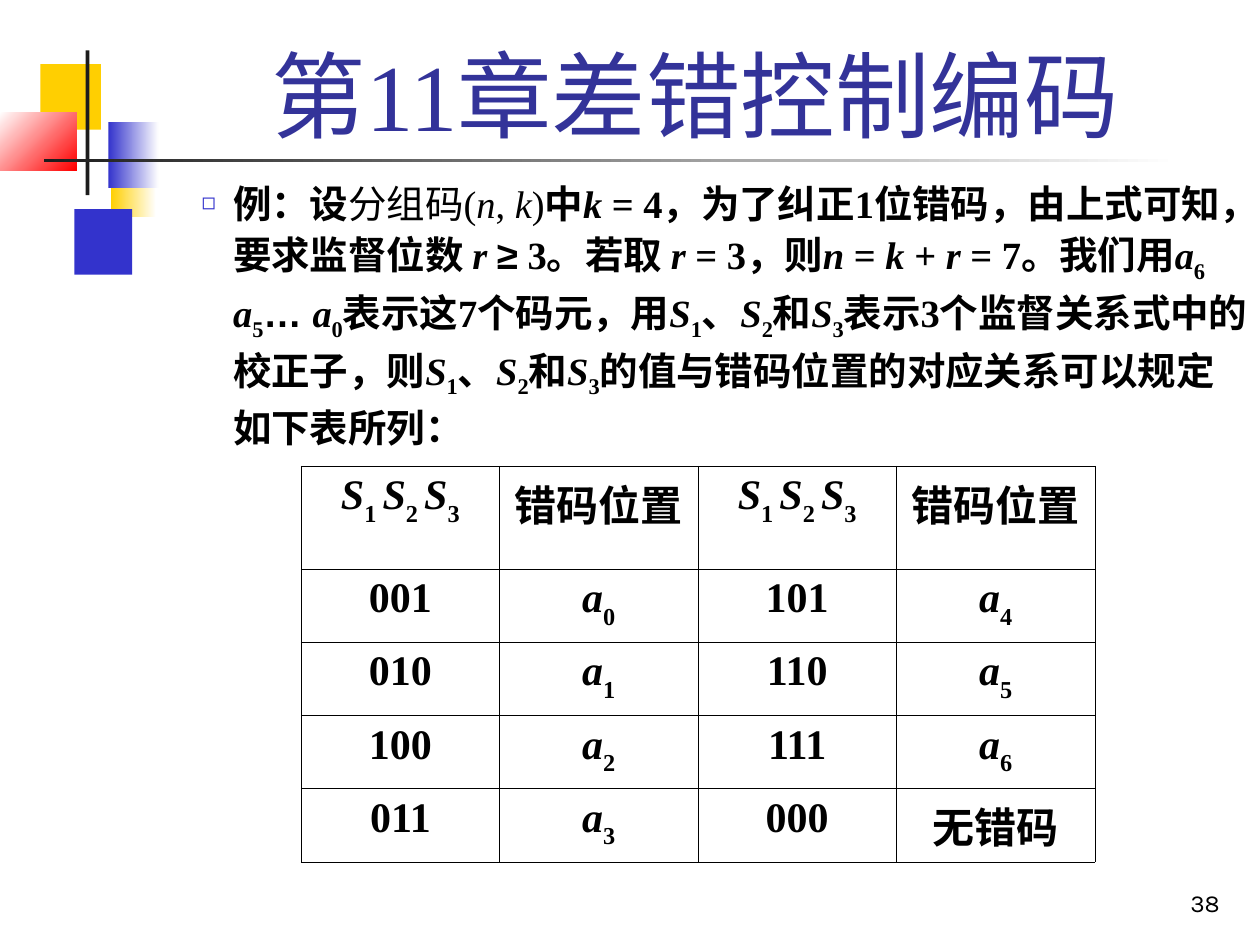
"""Build the slide on syndromes and error positions of a block code."""
from lxml.etree import SubElement
from pptx import Presentation
from pptx.dml.color import RGBColor
from pptx.enum.shapes import MSO_SHAPE
from pptx.enum.text import MSO_ANCHOR, MSO_AUTO_SIZE, PP_ALIGN
from pptx.oxml import parse_xml
from pptx.oxml.ns import nsdecls, qn
from pptx.util import Inches, Pt

BLACK = RGBColor(0x00, 0x00, 0x00)
WHITE = RGBColor(0xFF, 0xFF, 0xFF)
INK = RGBColor(0x1C, 0x1C, 0x1C)
YELLOW = RGBColor(0xFF, 0xCF, 0x01)
BLUE = RGBColor(0x33, 0x33, 0xCC)
NAVY = RGBColor(0x33, 0x33, 0x99)
RED = RGBColor(0xFF, 0x00, 0x00)
SERIF = "Times New Roman"

TITLE = "第11章差错控制编码"
PAGE_NUMBER = "38"

STYLES = {
    "plain": {"bold": False, "italic": False},
    "plain var": {"bold": False, "italic": True},
    "bold": {"bold": True, "italic": False},
    "var": {"bold": True, "italic": True},
    "sub": {"bold": True, "italic": False},
    "symbol": {"bold": True, "italic": False, "name": "Arial"},
}


def syndromes(*separators):
    return [run for number, separator in enumerate(separators, 1)
            for run in (("S", "var"), (str(number), "sub"), (separator, "bold")) if run[0]]


def position(index):
    return [("a", "var"), (str(index), "sub")]


EXAMPLE = [
    ("例：设", "bold"), ("分组码(", "plain"), ("n", "plain var"), (", ", "plain"),
    ("k", "plain var"), (")", "plain"), ("中", "bold"), ("k", "var"),
    (" = 4，为了纠正1位错码，由上式可知，要求监督位数 ", "bold"), ("r ", "var"),
    ("≥", "symbol"), (" 3。若取 ", "bold"), ("r", "var"), (" = 3，则", "bold"),
    ("n", "var"), (" = ", "bold"), ("k", "var"), (" + ", "bold"), ("r", "var"),
    (" = 7。我们用", "bold"), ("a", "var"), ("6 ", "sub"), ("a", "var"), ("5", "sub"),
    ("… ", "symbol"), *position(0), ("表示这7个码元，用", "bold"),
    *syndromes("、", "和", "表示3个监督关系式中的校正子，则"),
    *syndromes("、", "和", "的值与错码位置的对应关系可以规定如下表所列："),
]
SYNDROME_HEAD = [("S", "var"), ("1 ", "sub"), ("S", "var"), ("2 ", "sub"),
                 ("S", "var"), ("3", "sub")]
HEADER = [SYNDROME_HEAD, [("错码位置", "bold")]] * 2
CODES = [("001", "101"), ("010", "110"), ("100", "111"), ("011", "000")]
NO_ERROR = [("无错码", "bold")]
ROWS = [HEADER] + [
    [[(left, "bold")], position(index),
     [(right, "bold")], position(index + 4) if index < 3 else NO_ERROR]
    for index, (left, right) in enumerate(CODES)
]

# Shares of the slide in percent: left, top, width, height
ORNAMENTS = [
    ((8.8, 16, 3.6, 6.93), (YELLOW, WHITE), 0),
    ((5.9, 22.13, 4.6, 6.93), (BLUE,), 0),
    ((3.2, 6.8, 4.8, 6.93), (YELLOW,), 0),
    ((8.6, 12.93, 4, 6.93), (BLUE, WHITE), 0),
    ((0, 11.87, 6.1, 6.13), (WHITE, RED), 315),
    ((6.8, 5.33, 0.3, 15.33), (INK,), 0),
    ((3.5, 16.8, 90, 0.4), (INK, WHITE), 0),
]
NUMBER_AREA = (77, 91.07, 20.8, 6.67)
TITLE_AREA = (12.6, 3.07, 85.2, 13.47)
BODY_AREA = (0, 17.87, 100, 30.8)
TABLE_AREA = (23.9, 49.33, 63, 41.87)
HEADER_SHARE = 0.26

deck = Presentation()
deck.slide_width, deck.slide_height = Inches(10), Inches(7.5)
slide = deck.slides.add_slide(deck.slide_layouts[1])
shapes = slide.shapes


def area(shares):
    sides = (deck.slide_width, deck.slide_height) * 2
    return [round(side * share / 100) for side, share in zip(sides, shares)]


def apply(target, values):
    for attribute, value in values.items():
        setattr(target, attribute, value)


def write(paragraph, runs, size, color=BLACK, name=SERIF, drop=-25):
    for text, style in runs:
        run = paragraph.add_run()
        run.text = text
        apply(run.font, {"size": Pt(size), "name": name, **STYLES[style]})
        run.font.color.rgb = color
        if style == "sub":
            run.font._element.set("baseline", str(drop * 1000))


def place(holder, shares, anchor):
    apply(holder, dict(zip(("left", "top", "width", "height"), area(shares))))
    apply(holder.text_frame, {"word_wrap": True, "auto_size": MSO_AUTO_SIZE.NONE,
                              "vertical_anchor": anchor})
    shapes._spTree.append(holder._element)
    return holder.text_frame.paragraphs[0]


def add_ornament(shares, colors, angle):
    ornament = shapes.add_shape(MSO_SHAPE.RECTANGLE, *area(shares))
    ornament.shadow.inherit = False
    ornament.line.fill.background()
    if len(colors) == 1:
        ornament.fill.solid()
        ornament.fill.fore_color.rgb = colors[0]
        return
    ornament.fill.gradient()
    ornament.fill.gradient_angle = angle
    for stop, color in zip(ornament.fill.gradient_stops, colors):
        stop.color.rgb = color


def add_bullet(paragraph):
    properties = paragraph._p.get_or_add_pPr()
    properties.set("marL", str(Inches(1.75)))
    properties.set("indent", str(-Inches(0.25)))
    SubElement(SubElement(properties, qn("a:buClr")), qn("a:srgbClr")).set("val", str(BLUE))
    SubElement(properties, qn("a:buSzPct")).set("val", "60000")
    SubElement(properties, qn("a:buChar")).set("char", "◻")


def add_borders(cell):
    properties = cell._tc.get_or_add_tcPr()
    for index, side in enumerate("LRTB"):
        properties.insert(index, parse_xml(
            f'<a:ln{side} {nsdecls("a")} w="{Pt(0.45)}"><a:solidFill>'
            f'<a:srgbClr val="{BLACK}"/></a:solidFill></a:ln{side}>'))


def add_position_table():
    frame = shapes.add_table(len(ROWS), len(HEADER), *area(TABLE_AREA))
    table = frame.table
    apply(table, {"first_row": False, "horz_banding": False})
    height = area(TABLE_AREA)[3]
    header_height = round(height * HEADER_SHARE)
    for index, row in enumerate(table.rows):
        row.height = (height - header_height) // len(CODES) if index else header_height
    for row, contents in zip(table.rows, ROWS):
        for column, (cell, runs) in enumerate(zip(row.cells, contents)):
            if column % 2:
                cell.fill.solid()
                cell.fill.fore_color.rgb = WHITE
            else:
                cell.fill.background()
            add_borders(cell)
            paragraph = cell.text_frame.paragraphs[0]
            paragraph.alignment = PP_ALIGN.CENTER
            write(paragraph, runs, 24, drop=-30)


for ornament_values in ORNAMENTS:
    add_ornament(*ornament_values)

number = place(shapes.add_textbox(*area(NUMBER_AREA)), NUMBER_AREA, MSO_ANCHOR.BOTTOM)
number.alignment = PP_ALIGN.RIGHT
write(number, [(PAGE_NUMBER, "plain")], 14, name="Karla")

heading = place(shapes.title, TITLE_AREA, MSO_ANCHOR.BOTTOM)
heading.alignment = PP_ALIGN.CENTER
write(heading, [(TITLE, "plain")], 54, NAVY)

example = place(slide.placeholders[1], BODY_AREA, MSO_ANCHOR.TOP)
add_bullet(example)
apply(example, {"level": 3, "line_spacing": 1.1, "space_before": Pt(0)})
write(example, EXAMPLE, 22)

add_position_table()
deck.save("out.pptx")
